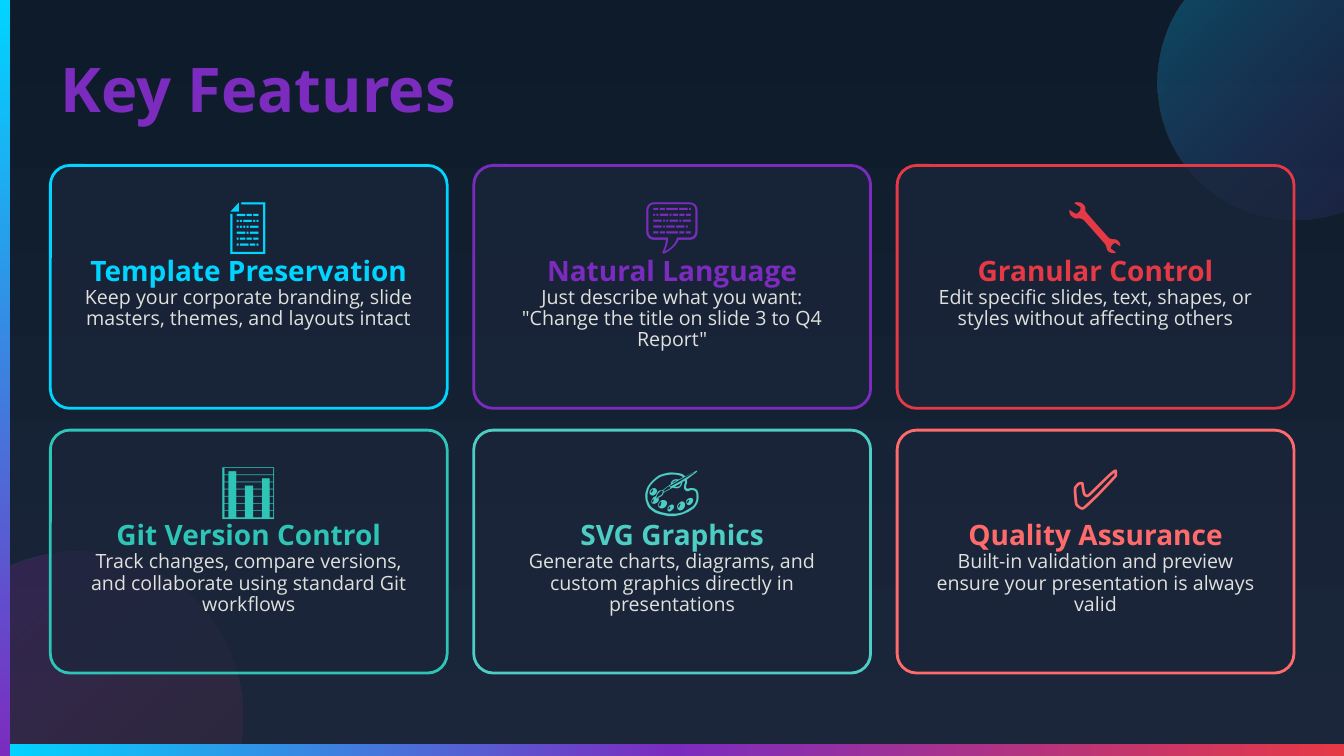
"""Build the Key Features slide with six outlined feature cards."""
from lxml import etree
from pptx import Presentation
from pptx.dml.color import RGBColor
from pptx.enum import shapes, text
from pptx.oxml import ns
from pptx.util import Cm, Pt

CYAN = RGBColor(0x00, 0xD4, 0xFF)
PURPLE = RGBColor(0x7B, 0x2C, 0xBF)
RED = RGBColor(0xE6, 0x39, 0x46)
TEAL = RGBColor(0x2E, 0xC4, 0xB6)
MINT = RGBColor(0x4E, 0xCD, 0xC4)
CORAL = RGBColor(0xFF, 0x6B, 0x6B)
NIGHT = RGBColor(0x0D, 0x1B, 0x2A)
NAVY = RGBColor(0x1B, 0x26, 0x3B)
PALE = RGBColor(0xE0, 0xE1, 0xDD)

FONT = "Open Sans"
TITLE = "Key Features"
FEATURES = [
    ("📄", "Template Preservation", CYAN,
     "Keep your corporate branding, slide masters, themes, and layouts intact"),
    ("💬", "Natural Language", PURPLE,
     'Just describe what you want: "Change the title on slide 3 to Q4 Report"'),
    ("🔧", "Granular Control", RED,
     "Edit specific slides, text, shapes, or styles without affecting others"),
    ("📊", "Git Version Control", TEAL,
     "Track changes, compare versions, and collaborate using standard Git workflows"),
    ("🎨", "SVG Graphics", MINT,
     "Generate charts, diagrams, and custom graphics directly in presentations"),
    ("✅", "Quality Assurance", CORAL,
     "Built-in validation and preview ensure your presentation is always valid"),
]

WIDTH, HEIGHT = 33.87, 19.05
OVAL, RECT = shapes.MSO_SHAPE.OVAL, shapes.MSO_SHAPE.RECTANGLE
DECORATIONS = [
    (OVAL, (29.16, -1.4, 6.93, 6.93), 45, [(0, CYAN, 30), (100, PURPLE, 10)]),
    (OVAL, (-2.21, 13.89, 8.33, 8.33), 45, [(0, PURPLE, 25), (100, RED, 5)]),
    (RECT, (0, 18.75, WIDTH, 0.3), 0,
     [(0, CYAN, 100), (50, PURPLE, 100), (100, RED, 100)]),
    (RECT, (0, 0, 0.25, HEIGHT), 90, [(0, CYAN, 100), (100, PURPLE, 100)]),
]
COLUMNS = 3
CARD_LEFT, CARD_TOP = 1.27, 4.17
CARD_WIDTH, CARD_HEIGHT = 10, 6.12
GAP_X, GAP_Y = 0.67, 0.55


def set_alpha(color_element, percent):
    """Give a colour element an opacity in percent."""
    etree.SubElement(color_element, ns.qn("a:alpha"), val=str(percent * 1000))


def paint_gradient(fill, root, angle, stops):
    """Apply a linear gradient of (position, colour, opacity) stops."""
    fill.gradient()
    gradient = root.find(".//" + ns.qn("a:gradFill"))
    stop_list = gradient.find(ns.qn("a:gsLst"))
    for stop in list(stop_list):
        stop_list.remove(stop)
    for position, color, opacity in stops:
        stop = etree.SubElement(stop_list, ns.qn("a:gs"), pos=str(position * 1000))
        swatch = etree.SubElement(stop, ns.qn("a:srgbClr"), val=str(color))
        if opacity < 100:
            set_alpha(swatch, opacity)
    gradient.find(ns.qn("a:lin")).set("ang", str(angle * 60000))


def add_shape(page, kind, bounds):
    """Add a shadowless shape with bounds in centimetres."""
    shape = page.shapes.add_shape(kind, *map(Cm, bounds))
    shape.shadow.inherit = False
    return shape


def format_para(para, words, size, color, bold):
    """Fill a paragraph and set its font."""
    para.text = words
    para.line_spacing = 0.9
    font = para.font
    font.name, font.size, font.bold = FONT, Pt(size), bold
    font.color.rgb = color


def add_title(page):
    """Place and format the title placeholder."""
    title = page.shapes.title
    title.left, title.top = Cm(1.27), Cm(0.76)
    title.width, title.height = Cm(31.32), Cm(2.54)
    frame = title.text_frame
    frame.vertical_anchor = text.MSO_ANCHOR.BOTTOM
    format_para(frame.paragraphs[0], TITLE, 44, PURPLE, True)
    frame.paragraphs[0].alignment = text.PP_ALIGN.LEFT


def add_card(page, index, icon, heading, color, detail):
    """Add one feature card at its place in the grid."""
    row, column = divmod(index, COLUMNS)
    left = CARD_LEFT + column * (CARD_WIDTH + GAP_X)
    top = CARD_TOP + row * (CARD_HEIGHT + GAP_Y)
    card = add_shape(page, shapes.MSO_SHAPE.ROUNDED_RECTANGLE,
                     (left, top, CARD_WIDTH, CARD_HEIGHT))
    card.adjustments[0] = 0.08
    card.fill.solid()
    card.fill.fore_color.rgb = NAVY
    set_alpha(card.element.spPr.find(".//" + ns.qn("a:srgbClr")), 70)
    card.line.color.rgb = color
    card.line.width = Pt(2)

    frame = card.text_frame
    frame.word_wrap = True
    frame.vertical_anchor = text.MSO_ANCHOR.TOP
    frame.margin_left = frame.margin_right = frame.margin_top = Cm(0.64)
    frame.margin_bottom = Cm(0.51)
    lines = [(icon, 40, color, True), (heading, 20, color, True),
             (detail, 14, PALE, False)]
    for number, line in enumerate(lines):
        para = frame.add_paragraph() if number else frame.paragraphs[0]
        format_para(para, *line)
        para.alignment = text.PP_ALIGN.CENTER


def main():
    """Build and save the deck."""
    deck = Presentation()
    deck.slide_width, deck.slide_height = Cm(WIDTH), Cm(HEIGHT)
    page = deck.slides.add_slide(deck.slide_layouts[5])
    paint_gradient(page.background.fill, page.element, 90,
                   [(0, NIGHT, 100), (100, NAVY, 100)])
    for kind, bounds, angle, stops in DECORATIONS:
        shape = add_shape(page, kind, bounds)
        shape.line.fill.background()
        paint_gradient(shape.fill, shape.element, angle, stops)
    add_title(page)
    for index, feature in enumerate(FEATURES):
        add_card(page, index, *feature)
    deck.save("out.pptx")


if __name__ == "__main__":
    main()
